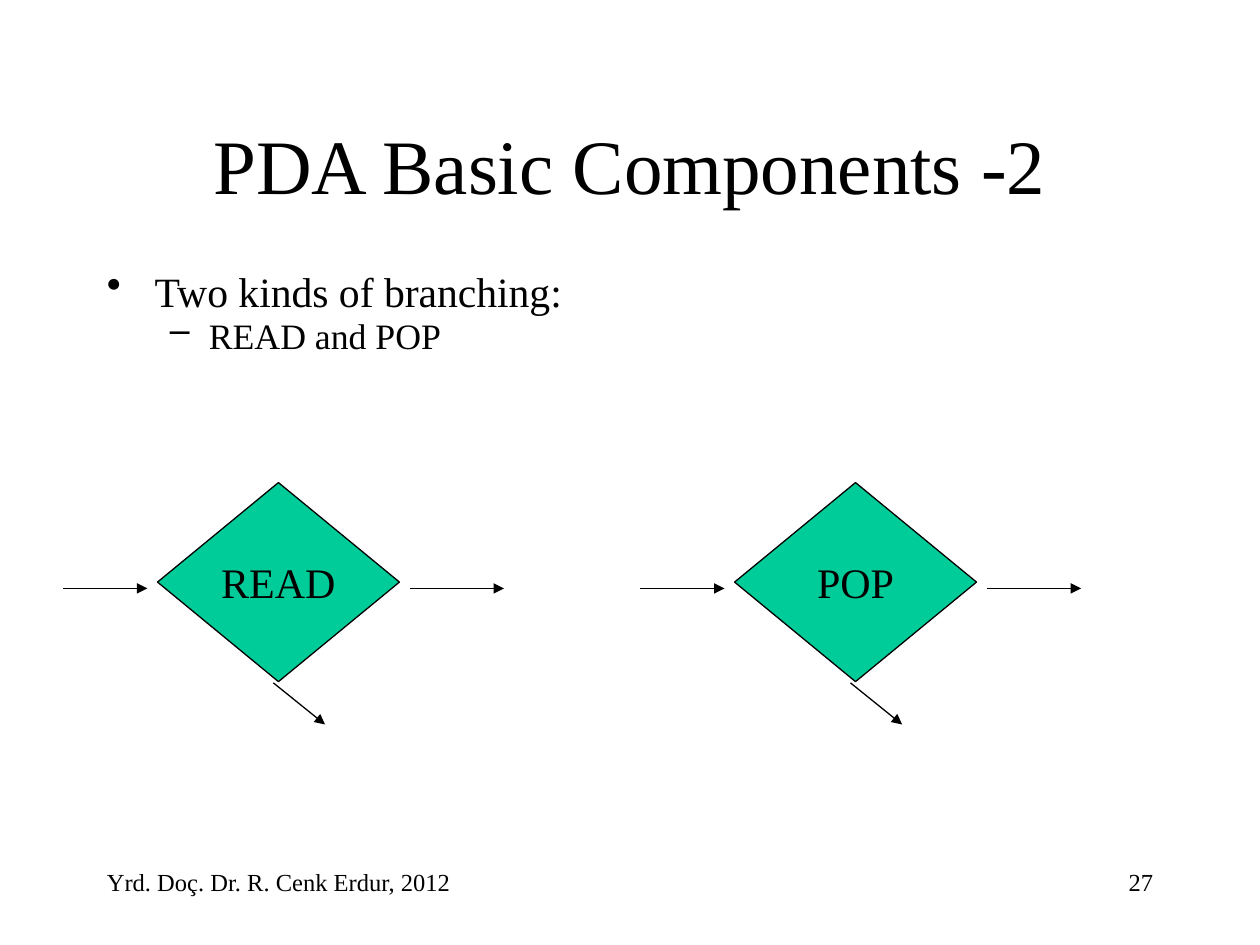
"""Build a slide on the branching components of a PDA."""
from pptx import Presentation
from pptx.dml.color import RGBColor
from pptx.enum.shapes import MSO_CONNECTOR as Line, MSO_SHAPE as Kind
from pptx.enum.text import MSO_ANCHOR as Anchor, PP_ALIGN as Align
from pptx.oxml.ns import qn
from pptx.util import Inches, Pt
from lxml.etree import SubElement

BLACK = RGBColor(0, 0, 0)
GREEN = RGBColor(0x00, 0xCC, 0x99)
FONT = "Times New Roman"

LABELS = [
    ("Yrd. Doç. Dr. R. Cenk Erdur, 2012", (0.75, 6.83, 5.83, 0.5), 14, Align.LEFT, Anchor.TOP),
    ("27", (7.17, 6.83, 2.08, 0.5), 14, Align.RIGHT, Anchor.TOP),
    ("PDA Basic Components -2", (0.75, 0.67, 8.5, 1.25), 44, Align.CENTER, Anchor.MIDDLE),
]
BULLETS = [
    ("Two kinds of branching:", "•", 0, 23.8, 7, 0.38, -0.38),
    ("READ and POP", "–", 1, 20.4, 6, 0.81, -0.31),
]
BRANCHES = [("READ", 0.5), ("POP", 5.08)]
ARROWS = [(0, 4.67, 0.67, 4.67), (2.75, 4.67, 3.5, 4.67), (1.67, 5.42, 2.08, 5.75)]

deck = Presentation()
deck.slide_width, deck.slide_height = Inches(10), Inches(7.5)
slide = deck.slides.add_slide(deck.slide_layouts[6])
shapes = slide.shapes


def style(para, text, size, align=Align.LEFT):
    para.text = text
    para.alignment = align
    font = para.font
    font.name, font.size = FONT, Pt(size)
    font.color.rgb = BLACK


def add_box(place, anchor=Anchor.TOP):
    frame = shapes.add_textbox(*map(Inches, place)).text_frame
    frame.word_wrap = True
    frame.vertical_anchor = anchor
    return frame


def add_bullet(para, text, mark, level, size, before, left, indent):
    style(para, text, size)
    para.level = level
    para.line_spacing = 0.7
    para.space_before = Pt(before)
    props = para._p.get_or_add_pPr()
    props.set("marL", str(Inches(left)))
    props.set("indent", str(Inches(indent)))
    bullet = SubElement(props, qn("a:buChar"))
    bullet.set("char", mark)
    props.insert_element_before(bullet, "a:tabLst", "a:defRPr", "a:extLst")


def set_line(line):
    line.color.rgb = BLACK
    line.width = Pt(0.74)


def add_arrow(ends):
    arrow = shapes.add_connector(Line.STRAIGHT, *map(Inches, ends))
    set_line(arrow.line)
    SubElement(arrow.line._get_or_add_ln(), qn("a:tailEnd")).set("type", "triangle")
    SubElement(arrow._element.spPr, qn("a:effectLst"))


def add_branch(name, left):
    place = (left + 0.75, 3.83, 1.92, 1.58)
    node = shapes.add_shape(Kind.FLOWCHART_DECISION, *map(Inches, place))
    node.shadow.inherit = False
    node.fill.solid()
    node.fill.fore_color.rgb = GREEN
    set_line(node.line)
    frame = node.text_frame
    frame.word_wrap = False
    frame.vertical_anchor = Anchor.MIDDLE
    style(frame.paragraphs[0], name, 24, Align.CENTER)
    for x1, y1, x2, y2 in ARROWS:
        add_arrow((left + x1, y1, left + x2, y2))


for text, place, size, align, anchor in LABELS:
    style(add_box(place, anchor).paragraphs[0], text, size, align)

body = add_box((0.75, 2.17, 8.5, 0.71))
for i, item in enumerate(BULLETS):
    add_bullet(body.add_paragraph() if i else body.paragraphs[0], *item)

for name, left in BRANCHES:
    add_branch(name, left)

deck.save("out.pptx")
